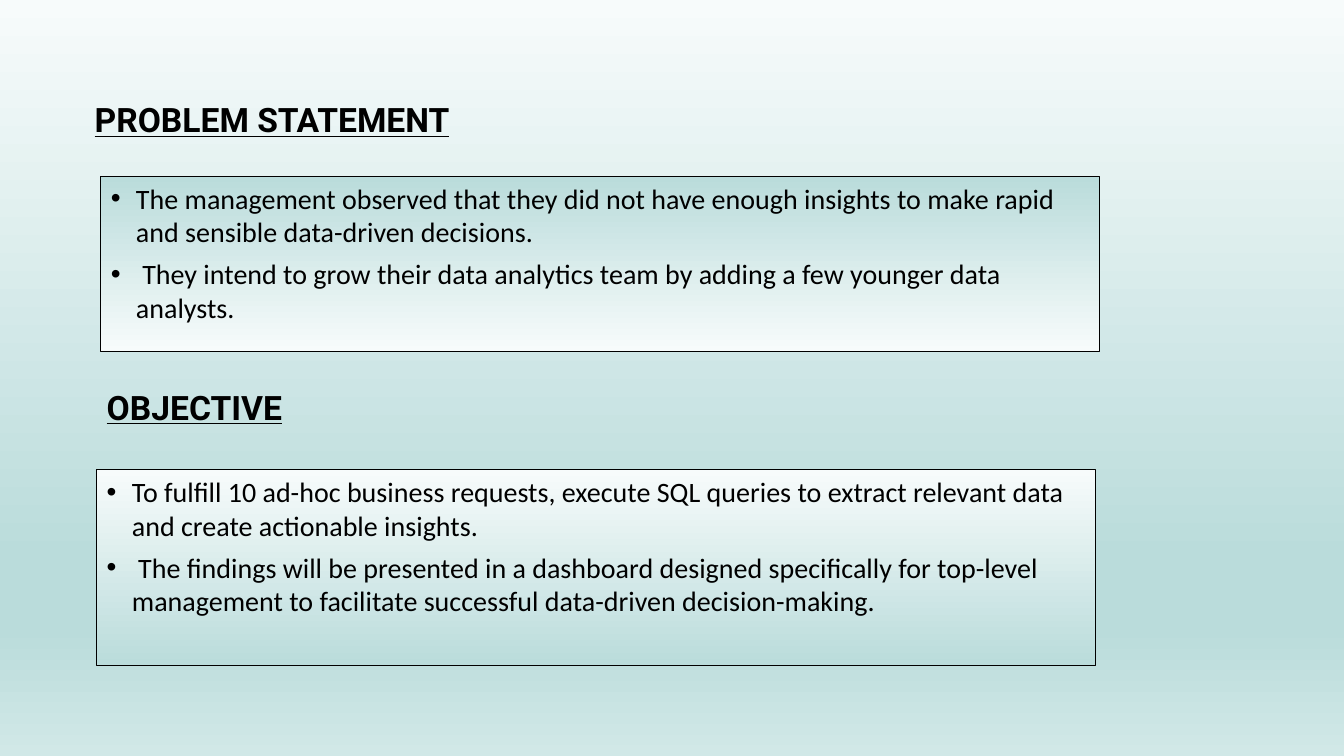
from dataclasses import dataclass

from lxml.etree import SubElement
from pptx import Presentation
from pptx.dml.color import RGBColor
from pptx.enum.shapes import MSO_SHAPE
from pptx.enum.text import MSO_ANCHOR, PP_ALIGN
from pptx.oxml.ns import qn
from pptx.util import Inches, Pt


@dataclass(frozen=True)
class Theme:
    ink: str = "000000"
    pale: str = "F7FBFB"
    teal: str = "BADCDB"
    mist: str = "D1E8E7"
    heading_font: str = "Roboto"
    body_font: str = "Calibri"
    heading_size: int = 24
    body_size: int = 20
    border_width: float = 0.75


class StatementSlide:
    def __init__(self, presentation, theme):
        self.theme = theme
        self.slide = presentation.slides.add_slide(presentation.slide_layouts[6])

    def apply_gradient(self, fill, element, stops):
        """Fill from top to bottom with (percent, colour) stops; element holds the fill."""
        fill.gradient()
        fill.gradient_angle = 270
        stop_list = next(element.iter(qn("a:gsLst")))
        for stop in list(stop_list):
            stop_list.remove(stop)
        for percent, color in stops:
            stop = SubElement(stop_list, qn("a:gs"), pos=str(percent * 1000))
            SubElement(stop, qn("a:srgbClr"), val=color)

    def add_background(self, stops):
        self.apply_gradient(self.slide.background.fill, self.slide.element, stops)

    def style_font(self, font, name, size):
        font.name = name
        font.size = Pt(size)
        font.color.rgb = RGBColor.from_string(self.theme.ink)

    def add_heading(self, text, left, top, width, height):
        box = self.slide.shapes.add_textbox(
            Inches(left), Inches(top), Inches(width), Inches(height))
        text_frame = box.text_frame
        text_frame.word_wrap = True
        text_frame.vertical_anchor = MSO_ANCHOR.BOTTOM
        text_frame.text = text
        paragraph = text_frame.paragraphs[0]
        paragraph.line_spacing = 0.9
        font = paragraph.runs[0].font
        self.style_font(font, self.theme.heading_font, self.theme.heading_size)
        font.bold = True
        font.underline = True

    def add_panel(self, bullets, left, top, width, height, colors):
        """Add a bordered bullet list shaded from the first colour to the second."""
        panel = self.slide.shapes.add_shape(
            MSO_SHAPE.RECTANGLE,
            Inches(left), Inches(top), Inches(width), Inches(height))
        panel.shadow.inherit = False
        self.apply_gradient(panel.fill, panel.element, zip((0, 100), colors))
        panel.line.color.rgb = RGBColor.from_string(self.theme.ink)
        panel.line.width = Pt(self.theme.border_width)
        text_frame = panel.text_frame
        text_frame.word_wrap = True
        text_frame.vertical_anchor = MSO_ANCHOR.TOP
        text_frame.text = "\n".join(bullets)
        for paragraph in text_frame.paragraphs:
            self.format_bullet(paragraph)

    def format_bullet(self, paragraph):
        paragraph.alignment = PP_ALIGN.LEFT
        paragraph.space_after = Pt(6)
        properties = paragraph._p.get_or_add_pPr()
        properties.set("marL", str(Inches(0.25)))
        properties.set("indent", str(-Inches(0.25)))
        SubElement(properties, qn("a:buFont"), typeface="Arial")
        SubElement(properties, qn("a:buChar"), char="•")
        self.style_font(
            paragraph.runs[0].font, self.theme.body_font, self.theme.body_size)


def main():
    presentation = Presentation()
    presentation.slide_width = Inches(13.33)
    presentation.slide_height = Inches(7.5)
    theme = Theme()
    page = StatementSlide(presentation, theme)
    page.add_background(
        [(0, theme.pale), (74, theme.teal), (83, theme.teal), (100, theme.mist)])

    page.add_heading("PROBLEM STATEMENT", 0.84, 0.45, 11.38, 0.99)
    page.add_panel(
        ["The management observed that they did not have enough insights "
         "to make rapid and sensible data-driven decisions.",
         " They intend to grow their data analytics team by adding "
         "a few younger data analysts."],
        1, 1.75, 9.91, 1.74, (theme.teal, theme.pale))

    page.add_heading("OBJECTIVE", 0.96, 3.49, 11.38, 0.8)
    page.add_panel(
        ["To fulfill 10 ad-hoc business requests, execute SQL queries "
         "to extract relevant data and create actionable insights.",
         " The findings will be presented in a dashboard designed specifically "
         "for top-level management to facilitate successful data-driven "
         "decision-making."],
        0.96, 4.66, 9.91, 1.94, (theme.pale, theme.teal))

    presentation.save("out.pptx")


if __name__ == "__main__":
    main()
